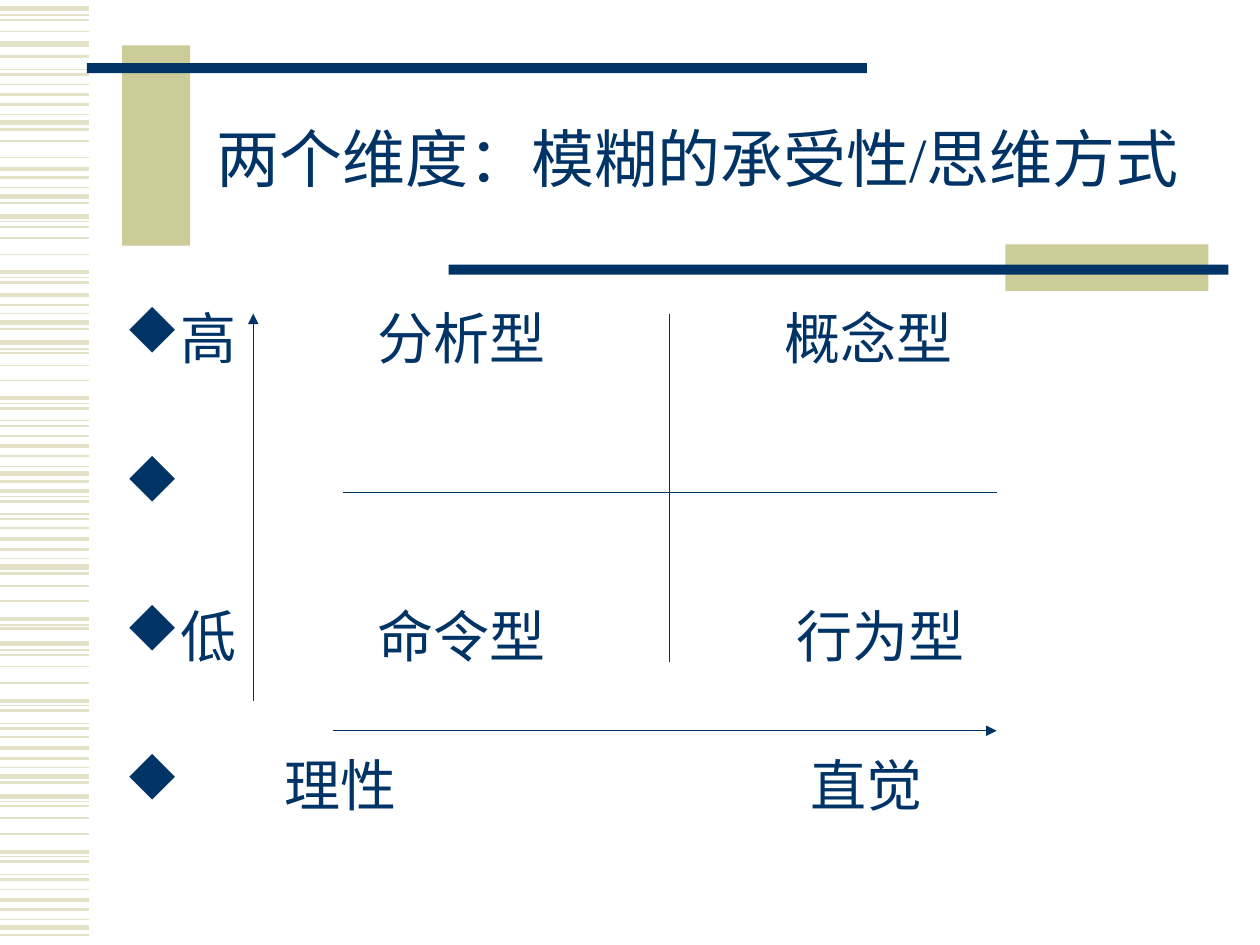
"""Build the slide on two dimensions of decision style."""
from dataclasses import dataclass
from lxml import etree
from pptx import Presentation
from pptx import util as u
from pptx.dml.color import RGBColor
from pptx.enum import shapes, text
from pptx.oxml import ns

Pt = u.Pt


@dataclass(frozen=True)
class Theme:
    ink: str = "003366"
    sand: str = "CCCC99"
    pale: str = "E3E2C7"
    font: str = "Times New Roman"
    signs: str = "Wingdings"
    mark: str = "u"
    head: int = 36
    body: int = 32
    lead: int = 34
    pitch: float = 85.2
    thin: float = 0.75


STRIPES = {
    0.75: (12, 55, 91, 149, 176, 220, 249, 277, 320, 334, 370, 394, 408, 443,
           496, 516, 560, 574, 609, 636, 680, 694, 730),
    1: (16, 25, 67, 112, 125, 180, 189, 202, 280, 290, 302, 346, 419, 465,
        477, 520, 529, 542, 585, 640, 649, 662, 706),
    1.5: (45, 59, 83, 103, 141, 161, 224, 242, 261, 324, 338, 362, 382, 398,
          412, 436, 455, 499, 564, 578, 602, 621, 684, 698, 722, 742),
    2.25: (75, 134, 216, 234, 316, 354, 390, 428, 491, 556, 594, 676, 714),
    3: (7, 35, 97, 156, 172, 256, 272, 376, 450, 511, 616, 632, 736),
}
BARS = (
    ("sand", 69.84, 25.92, 38.88, 114.48),
    ("ink", 49.68, 36, 445.68, 5.76),
    ("sand", 574.56, 139.68, 115.92, 26.64),
    ("ink", 256.32, 151.2, 445.68, 5.76),
)
AXES = ((144.72, 400.32, 144.72, 179.28), (190.08, 417.6, 569.52, 417.6))
CROSS = ((195.84, 281.52, 569.52, 281.52), (382.6, 179.28, 382.6, 378))
ROWS = (("高", 27), (" ", 27), ("低", 27), ("理性", 91.2))
LABELS = (
    ("分析型", 215.5, 0), ("概念型", 448.2, 0),
    ("命令型", 215.5, 2), ("行为型", 455, 2),
    ("直觉", 463, 3),
)


def node(parent, tag, **attrs):
    return etree.SubElement(parent, ns.qn(tag), attrs)


def write(para, words, *, font, size, color, lead, before=0, align=None):
    para.line_spacing = lead
    para.space_before = Pt(before)
    para.alignment = align
    run = para.add_run()
    run.text = words
    run.font.name = font
    run.font.size = Pt(size)
    run.font.color.rgb = RGBColor.from_string(color)


class Deck:
    def __init__(self, theme):
        self.theme = theme
        self.prs = Presentation()
        self.prs.slide_width, self.prs.slide_height = Pt(720), Pt(540)
        self.slide = self.prs.slides.add_slide(self.prs.slide_layouts[5])

    def style(self):
        t = self.theme
        return dict(font=t.font, size=t.body, color=t.ink, lead=Pt(t.lead))

    def line(self, x1, y1, x2, y2, color, width, arrow=False):
        wire = self.slide.shapes.add_connector(
            shapes.MSO_CONNECTOR.STRAIGHT, Pt(x1), Pt(y1), Pt(x2), Pt(y2))
        wire.line.color.rgb = RGBColor.from_string(color)
        wire.line.width = Pt(width)
        props = wire.element.spPr
        if arrow:
            node(props.find(ns.qn("a:ln")), "a:tailEnd", type="triangle")
        node(props, "a:effectLst")

    def bar(self, color, *box):
        rect = self.slide.shapes.add_shape(
            shapes.MSO_SHAPE.RECTANGLE, *map(Pt, box))
        rect.shadow.inherit = False
        rect.fill.solid()
        rect.fill.fore_color.rgb = RGBColor.from_string(color)
        rect.line.fill.background()

    def title(self, words, *box):
        head = self.slide.shapes.title
        head.left, head.top, head.width, head.height = map(Pt, box)
        frame = head.text_frame
        frame.word_wrap = True
        frame.auto_size = text.MSO_AUTO_SIZE.NONE
        frame.vertical_anchor = text.MSO_ANCHOR.MIDDLE
        look = self.style() | dict(size=self.theme.head, lead=0.85)
        write(frame.paragraphs[0], words, align=text.PP_ALIGN.CENTER, **look)

    def frame(self, *box):
        area = self.slide.shapes.add_textbox(*map(Pt, box)).text_frame
        area.word_wrap = True
        return area

    def bullets(self, rows, *box):
        t = self.theme
        area = self.frame(*box)
        for i, (words, dent) in enumerate(rows):
            para = area.add_paragraph() if i else area.paragraphs[0]
            props = para._p.get_or_add_pPr()
            props.set("marL", str(Pt(dent)))
            props.set("indent", str(-Pt(dent)))
            node(node(props, "a:buClr"), "a:srgbClr", val=t.ink)
            node(props, "a:buFont", typeface=t.signs, charset="2")
            node(props, "a:buChar", char=t.mark)
            gap = t.pitch - t.lead if i else 0
            write(para, words, before=gap, **self.style())

    def label(self, words, *box):
        area = self.frame(*box)
        area.margin_left = area.margin_right = 0
        area.margin_top = area.margin_bottom = 0
        write(area.paragraphs[0], words, **self.style())


def main():
    theme = Theme()
    deck = Deck(theme)
    for width, marks in STRIPES.items():
        for mark in marks:
            y = mark * 0.72
            deck.line(0, y, 51.12, y, theme.pale, width)
    for tone, *box in BARS:
        deck.bar(getattr(theme, tone), *box)
    deck.title("两个维度：模糊的承受性/思维方式", 108, 48.24, 581.04, 90)
    deck.bullets(ROWS, 64.08, 174.24, 626.4, 305.28)
    for words, x, row in LABELS:
        deck.label(words, x, 177.84 + row * theme.pitch, 110, theme.lead)
    for ends in AXES:
        deck.line(*ends, theme.ink, theme.thin, arrow=True)
    for ends in CROSS:
        deck.line(*ends, theme.ink, theme.thin)
    deck.prs.save("out.pptx")


if __name__ == "__main__":
    main()
